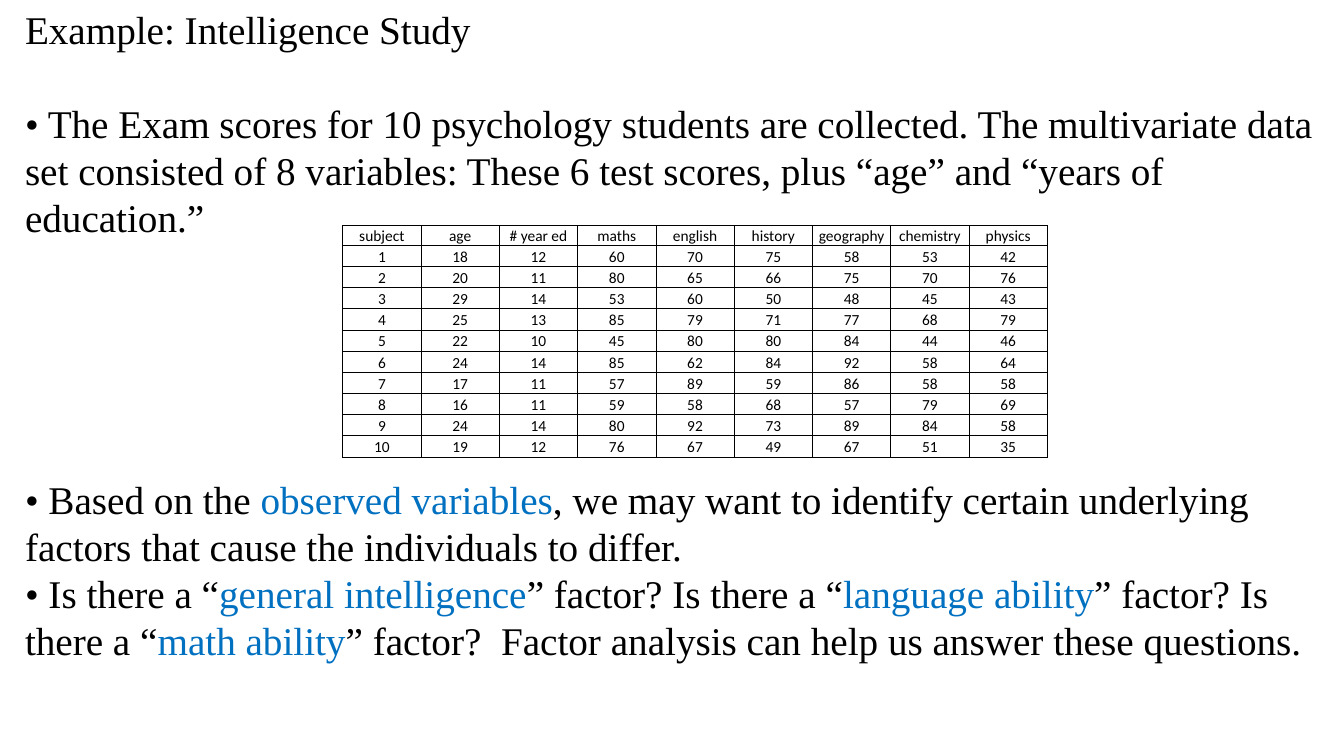
from lxml import etree
from pptx import Presentation
from pptx import util as u
from pptx.dml.color import RGBColor
from pptx.enum import text
from pptx.oxml import ns

COLORS = {"ink": "000000", "accent": "0070C0"}
LINE = 33.6

PARAGRAPHS = [
    (0, ["Example: Intelligence Study"]),
    (1, ["• The Exam scores for 10 psychology students are collected. "
         "The multivariate data set consisted of 8 variables: These 6 test scores, "
         "plus “age” and “years of education.”"]),
    (5, ["• Based on the ", "observed variables",
         ", we may want to identify certain underlying factors "
         "that cause the individuals to differ."]),
    (0, ["• Is there a “", "general intelligence", "” factor? Is there a “",
         "language ability", "” factor? Is there a “", "math ability",
         "” factor?  Factor analysis can help us answer these questions."]),
]

HEADERS = ["subject", "age", "# year ed", "maths", "english", "history",
           "geography", "chemistry", "physics"]
SCORES = [
    [1, 18, 12, 60, 70, 75, 58, 53, 42],
    [2, 20, 11, 80, 65, 66, 75, 70, 76],
    [3, 29, 14, 53, 60, 50, 48, 45, 43],
    [4, 25, 13, 85, 79, 71, 77, 68, 79],
    [5, 22, 10, 45, 80, 80, 84, 44, 46],
    [6, 24, 14, 85, 62, 84, 92, 58, 64],
    [7, 17, 11, 57, 89, 59, 86, 58, 58],
    [8, 16, 11, 59, 58, 68, 57, 79, 69],
    [9, 24, 14, 80, 92, 73, 89, 84, 58],
    [10, 19, 12, 76, 67, 49, 67, 51, 35],
]


class Deck:
    def __init__(self):
        self.prs = Presentation()
        self.prs.slide_width = u.Inches(13.33)
        self.prs.slide_height = u.Inches(7.5)
        self.s = self.prs.slides.add_slide(self.prs.slide_layouts[6])

    def font(self, font, name, size):
        font.name = name
        font.size = u.Pt(size)
        font.color.rgb = RGBColor.from_string(COLORS["ink"])

    def body(self, box, paragraphs):
        sp = self.s.shapes.add_textbox(*map(u.Inches, box))
        tf = sp.text_frame
        tf.word_wrap = True
        tf.auto_size = text.MSO_AUTO_SIZE.SHAPE_TO_FIT_TEXT
        for i, (gap, parts) in enumerate(paragraphs):
            p = tf.add_paragraph() if i else tf.paragraphs[0]
            p.line_spacing = u.Pt(LINE)
            if gap:
                p.space_before = u.Pt(gap * LINE)
            self.font(p.font, "Times New Roman", 28)
            for j, part in enumerate(parts):
                r = p.add_run()
                r.text = part
                self.font(r.font, "Times New Roman", 28)
                if j % 2:
                    r.font.color.rgb = RGBColor.from_string(COLORS["accent"])

    def borders(self, cell):
        tc_pr = cell._tc.get_or_add_tcPr()
        for side in ("lnL", "lnR", "lnT", "lnB"):
            ln = etree.SubElement(tc_pr, ns.qn("a:" + side), w=str(u.Pt(0.5)))
            fill = etree.SubElement(ln, ns.qn("a:solidFill"))
            etree.SubElement(fill, ns.qn("a:srgbClr"), val=COLORS["ink"])

    def cell(self, cell, value):
        cell.margin_left = cell.margin_right = cell.margin_top = u.Inches(0.01)
        cell.margin_bottom = 0
        cell.vertical_anchor = text.MSO_ANCHOR.BOTTOM
        self.borders(cell)
        cell.fill.background()
        p = cell.text_frame.paragraphs[0]
        p.text = str(value)
        p.alignment = text.PP_ALIGN.CENTER
        self.font(p.font, "Calibri", 11)

    def table(self, left, top, width, heights, rows):
        columns = len(rows[0])
        table = self.s.shapes.add_table(
            len(rows), columns, u.Inches(left), u.Inches(top),
            u.Inches(width), u.Inches(sum(heights))).table
        table.first_row = table.horz_banding = False
        for column in table.columns:
            column.width = u.Inches(width / columns)
        for i, row in enumerate(rows):
            table.rows[i].height = u.Inches(heights[i])
            for j, value in enumerate(row):
                self.cell(table.cell(i, j), value)


def main():
    deck = Deck()
    deck.body((0.15, 0, 13.33, 6.7), PARAGRAPHS)
    deck.table(3.4, 2.24, 6.99, [0.18] + [0.21] * len(SCORES), [HEADERS] + SCORES)
    deck.prs.save("out.pptx")


if __name__ == "__main__":
    main()
